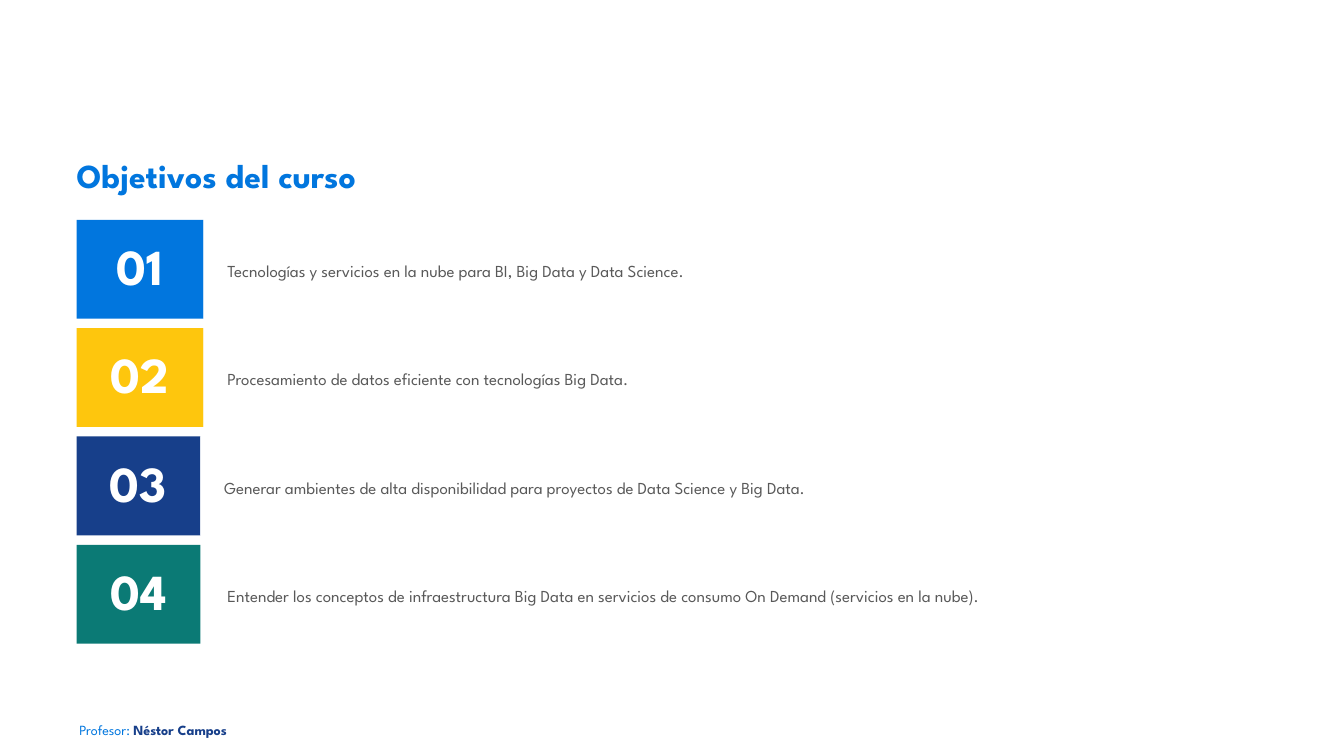
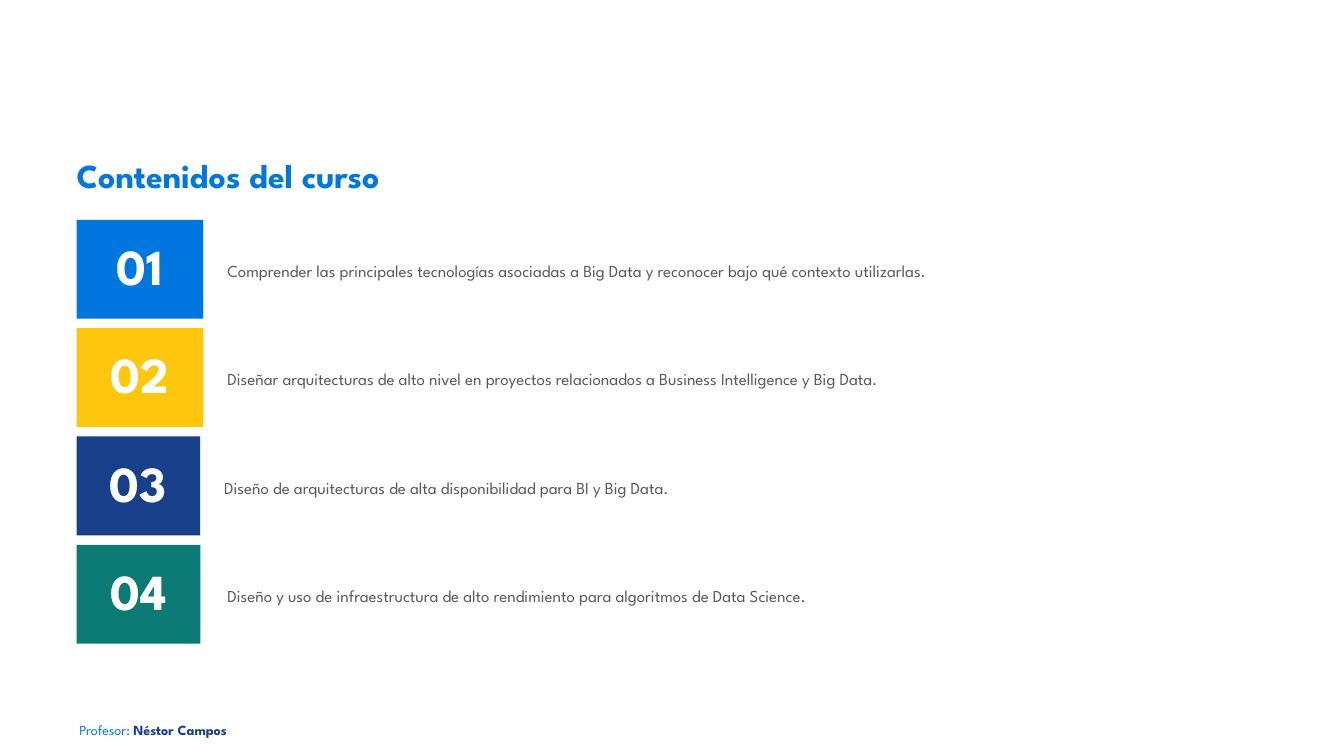
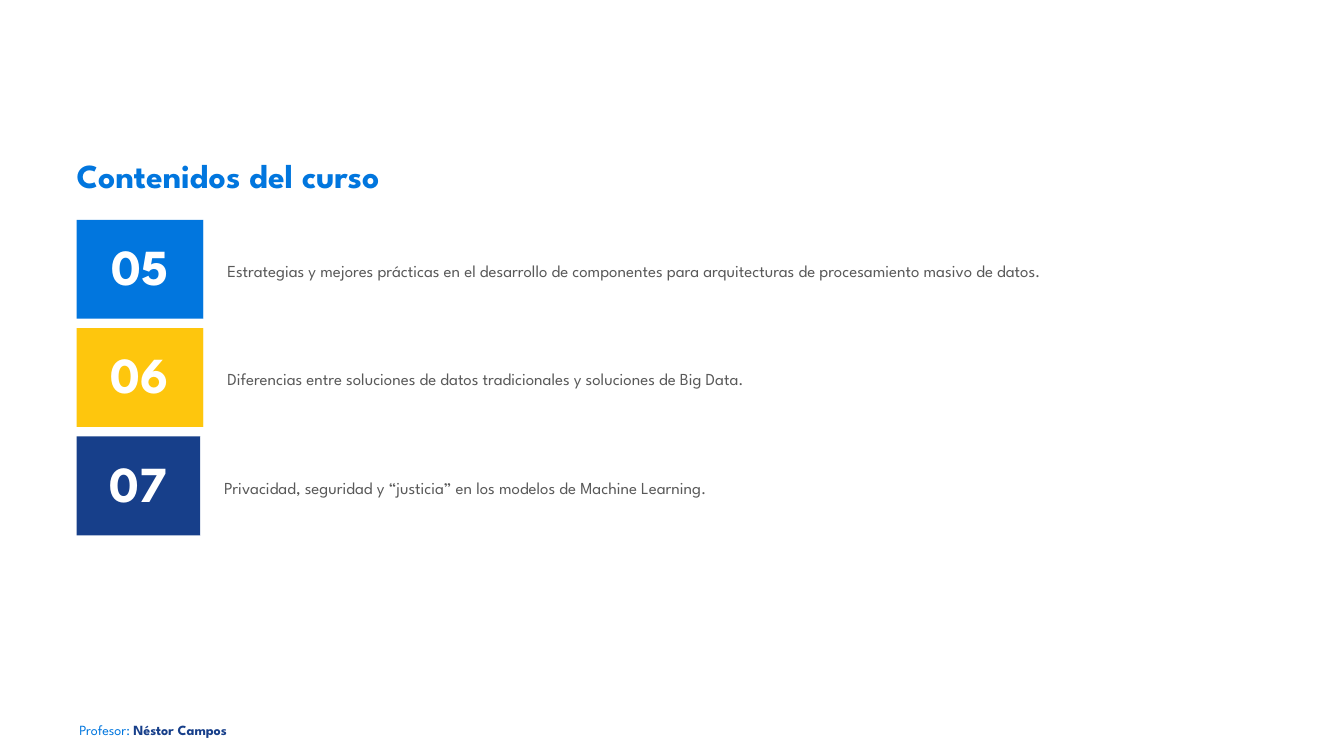
from dataclasses import dataclass

from pptx import Presentation
from pptx.dml.color import RGBColor
from pptx.enum.shapes import MSO_SHAPE
from pptx.enum.text import MSO_ANCHOR, MSO_AUTO_SIZE, PP_ALIGN
from pptx.slide import Slide, SlideLayout
from pptx.text.text import TextFrame, _Run
from pptx.util import Cm, Pt

FONT = "League Spartan"
BLUE = RGBColor(0x01, 0x76, 0xDE)
YELLOW = RGBColor(0xFE, 0xC6, 0x0D)
NAVY = RGBColor(0x17, 0x3F, 0x8A)
TEAL = RGBColor(0x0B, 0x7A, 0x75)
GRAY = RGBColor(0x59, 0x59, 0x59)
WHITE = RGBColor(0xFF, 0xFF, 0xFF)

LEFT = 1.93
ROWS_TOP = 5.54
ROW_HEIGHT = 2.49
ROW_PITCH = 2.73
STATEMENT_WIDTH = 26.82


@dataclass(frozen=True)
class RowStyle:
    color: RGBColor
    number_width: float
    statement_left: float


@dataclass(frozen=True)
class TextStyle:
    size: float
    color: RGBColor
    bold: bool
    alignment: PP_ALIGN
    line_spacing: float
    margins: tuple[float, float]


@dataclass(frozen=True)
class Agenda:
    title: str
    first_number: int
    statements: tuple[str, ...]


ROW_STYLES = (
    RowStyle(BLUE, 3.2, 5.13),
    RowStyle(YELLOW, 3.2, 5.13),
    RowStyle(NAVY, 3.12, 5.05),
    RowStyle(TEAL, 3.12, 5.13),
)
TITLE_STYLE = TextStyle(24, BLUE, True, PP_ALIGN.LEFT, 1.08, (0, 0))
NUMBER_STYLE = TextStyle(36, WHITE, True, PP_ALIGN.CENTER, 0.9, (0.25, 0.13))
STATEMENT_STYLE = TextStyle(12, GRAY, False, PP_ALIGN.JUSTIFY, 1.17, (0.6, 0.6))

AGENDAS = (
    Agenda("Objetivos del curso", 1, (
        "Tecnologías y servicios en la nube para BI, Big Data y Data Science.",
        "Procesamiento de datos eficiente con tecnologías Big Data.",
        "Generar ambientes de alta disponibilidad para proyectos de Data Science y Big Data.",
        "Entender los conceptos de infraestructura Big Data en servicios de consumo "
        "On Demand (servicios en la nube).",
    )),
    Agenda("Contenidos del curso", 1, (
        "Comprender las principales tecnologías asociadas a Big Data y reconocer "
        "bajo qué contexto utilizarlas.",
        "Diseñar arquitecturas de alto nivel en proyectos relacionados a "
        "Business Intelligence y Big Data.",
        "Diseño de arquitecturas de alta disponibilidad para BI y Big Data.",
        "Diseño y uso de infraestructura de alto rendimiento para algoritmos de Data Science.",
    )),
    Agenda("Contenidos del curso", 5, (
        "Estrategias y mejores prácticas en el desarrollo de componentes para "
        "arquitecturas de procesamiento masivo de datos.",
        "Diferencias entre soluciones de datos tradicionales y soluciones de Big Data.",
        "Privacidad, seguridad y “justicia” en los modelos de Machine Learning.",
    )),
)


def format_run(run: _Run, size: float, color: RGBColor, bold: bool) -> None:
    run.font.name = FONT
    run.font.size = Pt(size)
    run.font.bold = bold
    run.font.color.rgb = color


def set_margins(frame: TextFrame, horizontal: float, vertical: float) -> None:
    frame.margin_left = frame.margin_right = Cm(horizontal)
    frame.margin_top = frame.margin_bottom = Cm(vertical)


def write_text(frame: TextFrame, text: str, style: TextStyle, anchor: MSO_ANCHOR) -> None:
    frame.text = text
    frame.word_wrap = True
    frame.auto_size = MSO_AUTO_SIZE.NONE
    frame.vertical_anchor = anchor
    set_margins(frame, *style.margins)
    paragraph = frame.paragraphs[0]
    paragraph.alignment = style.alignment
    paragraph.line_spacing = style.line_spacing
    format_run(paragraph.runs[0], style.size, style.color, style.bold)


def add_cell(slide: Slide, left: float, top: float, width: float,
             fill: RGBColor, text: str, style: TextStyle) -> None:
    cell = slide.shapes.add_shape(
        MSO_SHAPE.RECTANGLE, Cm(left), Cm(top), Cm(width), Cm(ROW_HEIGHT))
    cell.shadow.inherit = False
    cell.fill.solid()
    cell.fill.fore_color.rgb = fill
    cell.line.fill.background()
    write_text(cell.text_frame, text, style, MSO_ANCHOR.MIDDLE)


def place_layout_title(layout: SlideLayout) -> None:
    title = layout.placeholders[0]
    title.left, title.top = Cm(LEFT), Cm(3.81)
    title.width, title.height = Cm(30), Cm(1.73)


def add_layout_footer(layout: SlideLayout, slide: Slide) -> None:
    """Build the footer on a slide, then move it to the layout so all slides show it."""
    footer = slide.shapes.add_textbox(Cm(2), Cm(17.68), Cm(5.08), Cm(0.66))
    frame = footer.text_frame
    frame.word_wrap = True
    set_margins(frame, 0, 0)
    paragraph = frame.paragraphs[0]
    paragraph.line_spacing = 2.2
    for text, color, bold in (("Profesor: ", BLUE, False), ("Néstor Campos", NAVY, True)):
        run = paragraph.add_run()
        run.text = text
        format_run(run, 10, color, bold)
    next_id = max(shape.shape_id for shape in layout.shapes) + 1
    footer.element.nvSpPr.cNvPr.set("id", str(next_id))
    layout.shapes.element.append(footer.element)


def fill_slide(slide: Slide, agenda: Agenda) -> None:
    write_text(slide.shapes.title.text_frame, agenda.title, TITLE_STYLE, MSO_ANCHOR.TOP)
    for index, (row, statement) in enumerate(zip(ROW_STYLES, agenda.statements)):
        top = ROWS_TOP + index * ROW_PITCH
        number = f"{agenda.first_number + index:02}"
        add_cell(slide, LEFT, top, row.number_width, row.color, number, NUMBER_STYLE)
        add_cell(slide, row.statement_left, top, STATEMENT_WIDTH, WHITE,
                 statement, STATEMENT_STYLE)


def main() -> None:
    presentation = Presentation()
    presentation.slide_width, presentation.slide_height = Cm(33.87), Cm(19.05)
    layout = presentation.slide_layouts.get_by_name("Title Only")
    place_layout_title(layout)
    slides = [presentation.slides.add_slide(layout) for _ in AGENDAS]
    add_layout_footer(layout, slides[0])
    for slide, agenda in zip(slides, AGENDAS):
        fill_slide(slide, agenda)
    presentation.save("out.pptx")


if __name__ == "__main__":
    main()
